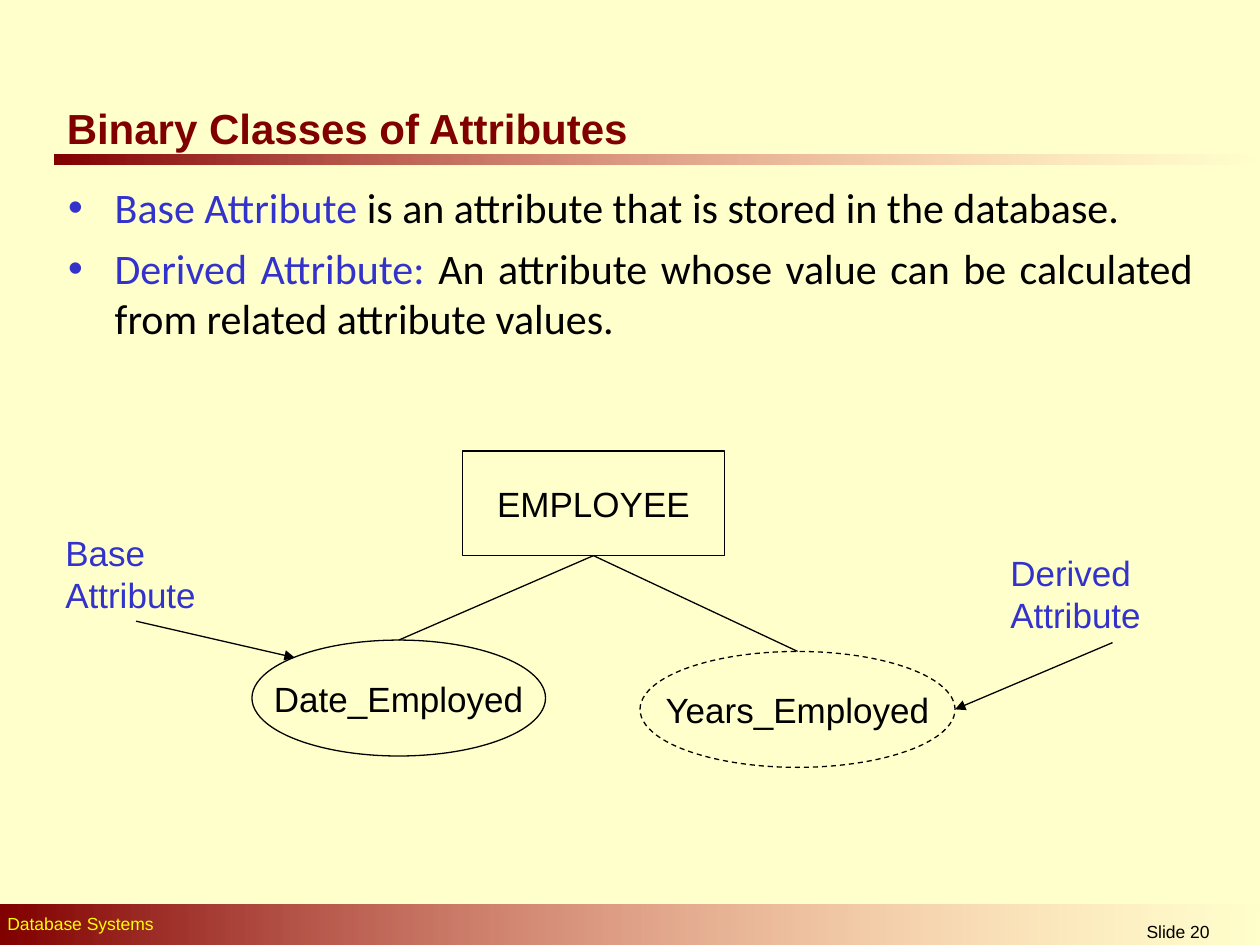
from lxml.etree import SubElement
from pptx import Presentation
from pptx.dml.color import RGBColor
from pptx.enum.dml import MSO_LINE
from pptx.enum.shapes import MSO_CONNECTOR, MSO_SHAPE
from pptx.enum.text import MSO_ANCHOR, MSO_AUTO_SIZE, PP_ALIGN
from pptx.oxml.ns import qn
from pptx.util import Inches, Pt

COLORS = {"bg": "FFFFCC", "maroon": "800000", "pink": "FF8585",
          "yellow": "FFFF00", "blue": "3333CC", "black": "000000"}
TITLE = "Binary Classes of Attributes"
BULLETS = [
    ("Base Attribute", " is an attribute that is stored in the database.", PP_ALIGN.LEFT),
    ("Derived Attribute:",
     " An attribute whose value can be calculated from related attribute values.",
     PP_ALIGN.JUSTIFY),
]
BARS = [(0.43, 1.23, 9.57, 0.08), (0, 7.18, 10.03, 0.35)]
ENTITY = ("EMPLOYEE", MSO_SHAPE.RECTANGLE, (3.67, 3.58, 2.08, 0.83), None)
ATTRIBUTES = [
    ("Date_Employed", MSO_SHAPE.OVAL, (2, 5.08, 2.33, 0.92), None),
    ("Years_Employed", MSO_SHAPE.OVAL, (5.08, 5.17, 2.5, 0.92), MSO_LINE.DASH),
]
LABELS = [
    ("Base Attribute", (0.42, 4.17, 1.33, 0.77),
     dict(size=20, color="blue", before=12.5)),
    ("Derived Attribute", (7.92, 4.33, 1.83, 0.77),
     dict(size=20, color="blue", before=12.5)),
    ("Database Systems", (-0.04, 7.2, 6.46, 0.27),
     dict(size=10, color="yellow", before=6.2)),
    ("Slide 20", (8.31, 7.26, 2.08, 0.24), dict(size=10, align=PP_ALIGN.CENTER)),
]
ARROWS = [((1.08, 4.93), (2.34, 5.22)), ((8.83, 5.1), (7.58, 5.63))]


def rgb(name):
    """Return a named colour."""
    return RGBColor.from_string(COLORS[name])


def write(p, text, size=20, color="black", font="Arial", bold=False,
          align=PP_ALIGN.LEFT, before=0):
    """Add a formatted run to a paragraph."""
    p.alignment, p.space_before = align, Pt(before)
    r = p.add_run()
    r.text = text
    r.font.size, r.font.name, r.font.bold = Pt(size), font, bold
    r.font.color.rgb = rgb(color)


def place(sp, box):
    """Move a placeholder and return its fixed-size text frame."""
    sp.left, sp.top, sp.width, sp.height = map(Inches, box)
    tf = sp.text_frame
    tf.word_wrap, tf.auto_size = True, MSO_AUTO_SIZE.NONE
    return tf


def add_bar(s, box):
    """Draw a bar that fades out to the right."""
    sp = s.shapes.add_shape(MSO_SHAPE.RECTANGLE, *map(Inches, box))
    sp.shadow.inherit = False
    sp.line.fill.background()
    sp.fill.gradient()
    sp.fill.gradient_angle = 0
    for stop, name in zip(sp.fill.gradient_stops, ("maroon", "pink")):
        stop.color.rgb = rgb(name)
    end = sp.element.xpath(".//a:gs/a:srgbClr")[-1]
    SubElement(end, qn("a:alpha"), val="0")


def add_node(s, text, kind, box, dash):
    """Draw an outlined entity or attribute."""
    sp = s.shapes.add_shape(kind, *map(Inches, box))
    sp.shadow.inherit = False
    sp.fill.background()
    sp.line.color.rgb, sp.line.width = rgb("black"), Pt(0.75)
    if dash:
        sp.line.dash_style = dash
    tf = sp.text_frame
    tf.word_wrap, tf.vertical_anchor = False, MSO_ANCHOR.MIDDLE
    write(tf.paragraphs[0], text, align=PP_ALIGN.CENTER)
    return sp


def add_line(s, start=(0, 0), end=(0, 0), arrow=False):
    """Draw a thin black line, with an arrowhead at its end if wanted."""
    line = s.shapes.add_connector(MSO_CONNECTOR.STRAIGHT, *map(Inches, start + end))
    line.line.color.rgb, line.line.width = rgb("black"), Pt(0.75)
    if arrow:
        SubElement(line.line._get_or_add_ln(), qn("a:tailEnd"), type="triangle")
    SubElement(line.element.spPr, qn("a:effectLst"))
    return line


def add_bullet(p, head, rest, align):
    """Fill a paragraph as a blue-bulleted item."""
    for text, color in ((head, "blue"), (rest, "black")):
        write(p, text, size=24, color=color, font="Calibri", align=align, before=6)
    pPr = p._p.get_or_add_pPr()
    pPr.set("marL", str(Inches(0.37)))
    pPr.set("indent", str(-Inches(0.37)))
    SubElement(SubElement(pPr, qn("a:buClr")), qn("a:srgbClr"), val=COLORS["blue"])
    SubElement(pPr, qn("a:buFont"), typeface="Arial")
    SubElement(pPr, qn("a:buChar"), char="•")


def main():
    prs = Presentation()
    prs.slide_width, prs.slide_height = Inches(10), Inches(7.5)
    s = prs.slides.add_slide(prs.slide_layouts[1])
    s.background.fill.solid()
    s.background.fill.fore_color.rgb = rgb("bg")

    for box in BARS:
        add_bar(s, box)

    tf = place(s.shapes.title, (0.43, 0.76, 4.8, 0.5))
    tf.vertical_anchor = MSO_ANCHOR.MIDDLE
    write(tf.paragraphs[0], TITLE, size=24, color="maroon", bold=True)

    tf = place(s.placeholders[1], (0.44, 1.39, 9.13, 1.95))
    for i, bullet in enumerate(BULLETS):
        add_bullet(tf.add_paragraph() if i else tf.paragraphs[0], *bullet)

    entity = add_node(s, *ENTITY)
    for attribute in ATTRIBUTES:
        node = add_node(s, *attribute)
        line = add_line(s)
        line.begin_connect(entity, 2)
        line.end_connect(node, 0)

    for text, box, style in LABELS:
        tf = s.shapes.add_textbox(*map(Inches, box)).text_frame
        tf.word_wrap = True
        write(tf.paragraphs[0], text, **style)

    for start, end in ARROWS:
        add_line(s, start, end, arrow=True)

    prs.save("out.pptx")


if __name__ == "__main__":
    main()
